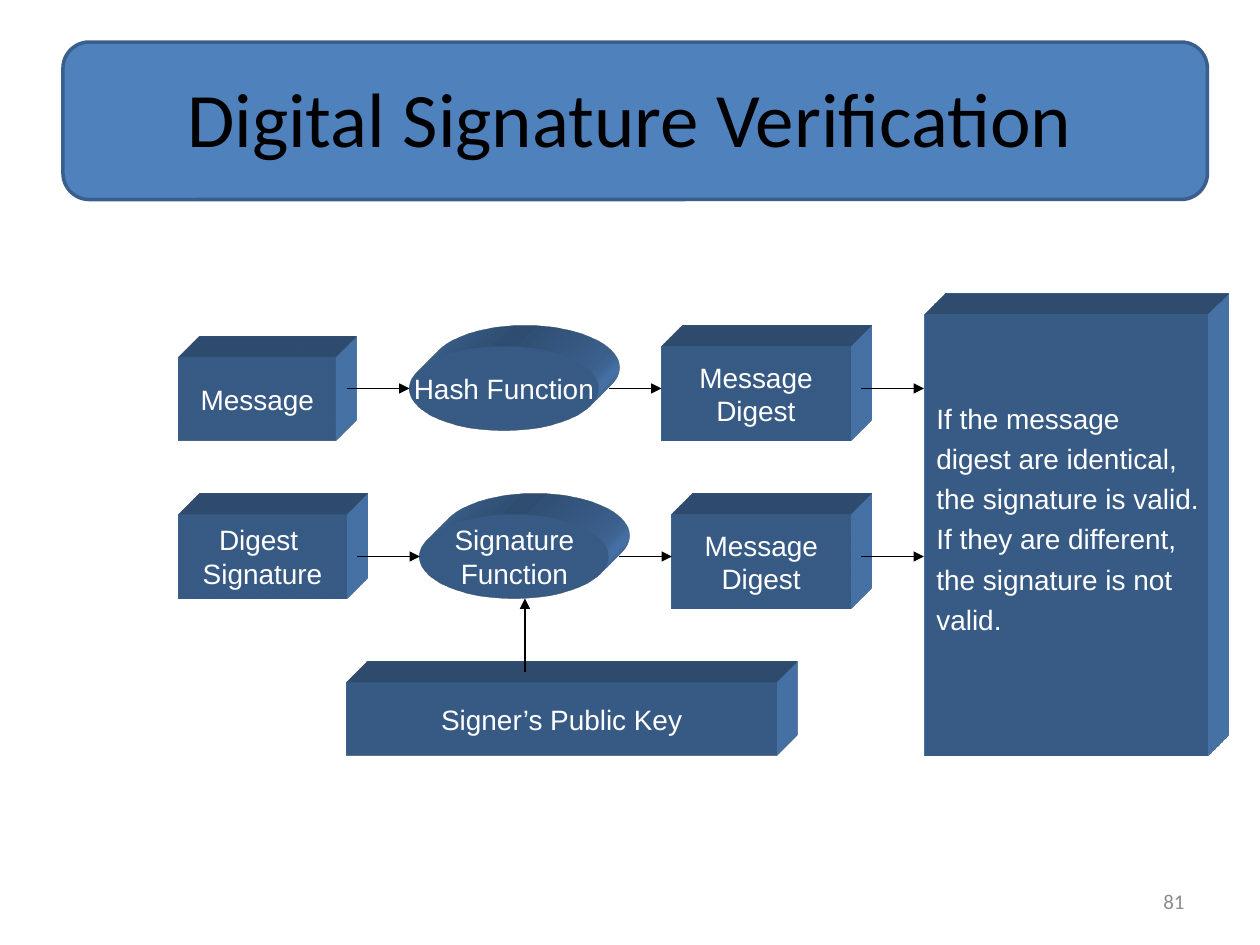
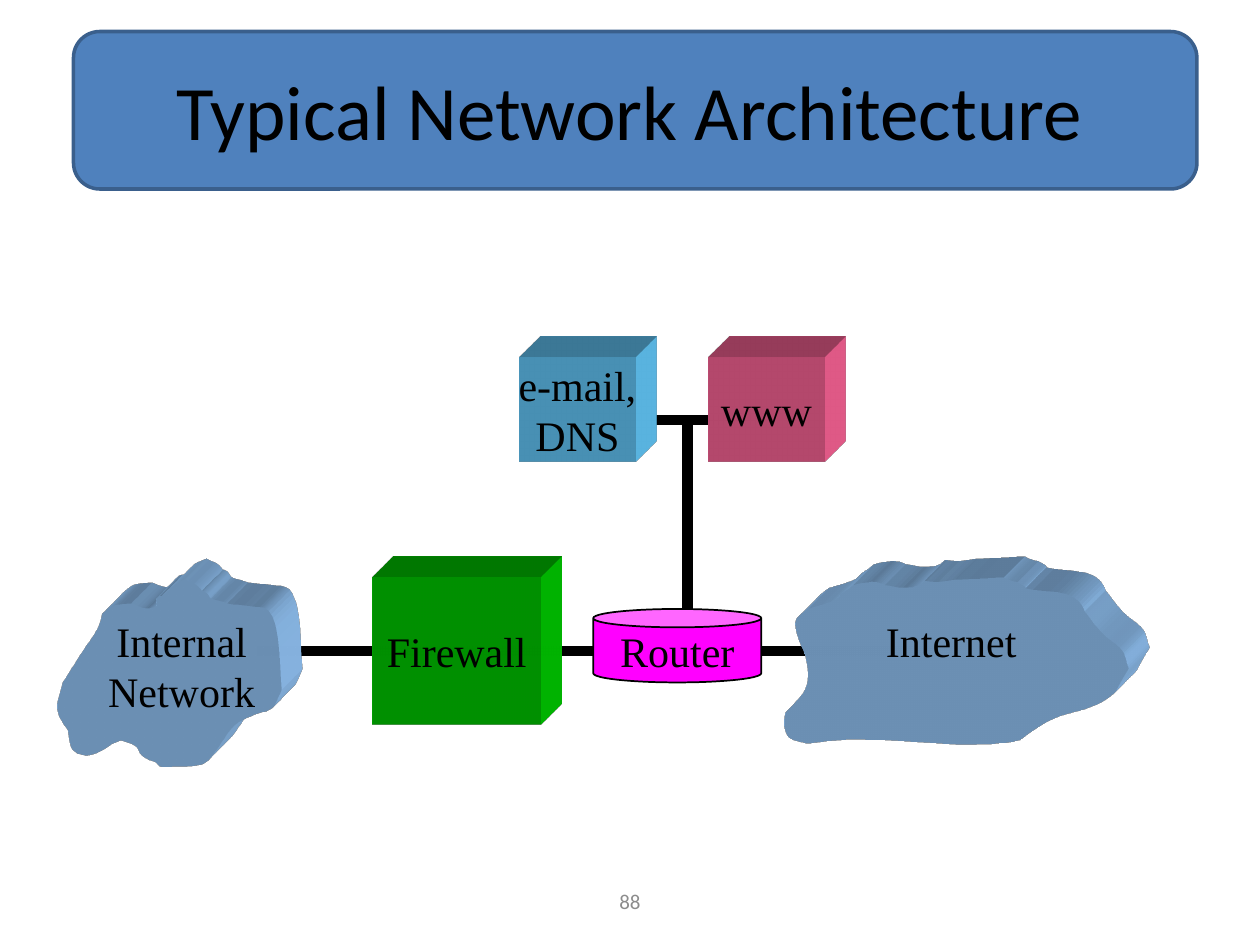
from lxml.etree import SubElement
from pptx import Presentation
from pptx.dml.color import RGBColor
from pptx.enum.shapes import MSO_CONNECTOR, MSO_SHAPE
from pptx.enum.text import MSO_ANCHOR, PP_ALIGN
from pptx.oxml import parse_xml
from pptx.oxml.ns import nsdecls, qn
from pptx.util import Inches, Pt

COLORS = {
    "blue": "4F81BD", "blue_edge": "3A5F8C", "black": "000000", "white": "FFFFFF",
    "grey": "8C8C8C", "green": "00CC00", "cloud": "99CCFF", "magenta": "FF00FF",
    "sky": "66CCFF", "pink": "FF6699",
}
GRID_PER_INCH = 12
CLOUD_PER_INCH = 100
DEPTH = 430200

INTERNET_CURVES = [
    (99, 10, 91, 8, 81, 6), (72, 2, 65, 4, 56, 6), (53, 8, 50, 11, 46, 13),
    (45, 14, 44, 16, 43, 17), (38, 20, 26, 23, 20, 25), (16, 28, 11, 31, 10, 35),
    (9, 43, 15, 55, 18, 63), (19, 68, 20, 73, 20, 77), (20, 91, 12, 97, 2, 107),
    (1, 113, 0, 120, 4, 126), (7, 130, 20, 132, 20, 132), (59, 125, 103, 131, 142, 133),
    (157, 132, 174, 133, 188, 129), (197, 122, 208, 114, 220, 110),
    (237, 105, 254, 102, 264, 90), (267, 83, 271, 78, 274, 72), (272, 68, 272, 64, 270, 60),
    (266, 53, 261, 52, 255, 46), (248, 40, 245, 34, 239, 27), (234, 11, 217, 12, 198, 10),
    (184, 7, 200, 11, 186, 4), (182, 3, 178, 2, 175, 0), (162, 1, 150, 1, 138, 2),
    (133, 2, 123, 4, 123, 4), (110, 3, 114, 1, 108, 6),
]
INTERNAL_CURVES = [
    (74, 25, 68, 22, 61, 19), (50, 20, 46, 19, 38, 27), (36, 40, 29, 47, 23, 56),
    (17, 65, 12, 73, 7, 81), (5, 91, 0, 97, 4, 108), (6, 112, 11, 119, 11, 119),
    (13, 135, 14, 137, 26, 139), (35, 137, 37, 136, 44, 131), (47, 129, 53, 127, 53, 127),
    (56, 128, 60, 129, 64, 131), (66, 132, 67, 136, 68, 137), (72, 142, 75, 142, 80, 144),
    (82, 145, 83, 148, 85, 148), (96, 148, 107, 148, 117, 146),
    (126, 143, 135, 121, 144, 114), (152, 109, 159, 106, 168, 104),
    (170, 103, 172, 102, 174, 100), (176, 97, 180, 87, 180, 87), (178, 71, 180, 38, 170, 25),
    (166, 21, 160, 22, 155, 21), (149, 20, 143, 20, 137, 19), (133, 17, 128, 17, 124, 15),
    (123, 14, 122, 12, 121, 11), (120, 10, 118, 9, 117, 9), (113, 3, 109, 3, 104, 0),
    (102, 1, 96, 3, 94, 5), (91, 7, 89, 11, 85, 13), (84, 13, 82, 13, 81, 15),
    (80, 16, 81, 19, 81, 21),
]


def color(name):
    """Return the named colour."""
    return RGBColor.from_string(COLORS[name])


def grid(value):
    """Turn grid units into a slide length."""
    return Inches(value / GRID_PER_INCH)


def inside(origin, box):
    """Turn a grid box relative to an origin into slide lengths."""
    left, top, width, height = box
    return [grid(value) for value in (origin[0] + left, origin[1] + top, width, height)]


def write(shape, text, size, font, ink, align=PP_ALIGN.CENTER, anchor=MSO_ANCHOR.MIDDLE,
          spacing=None, wrap=False):
    """Put formatted text in a shape."""
    frame = shape.text_frame
    frame.text = text
    frame.word_wrap = wrap
    frame.vertical_anchor = anchor
    for para in frame.paragraphs:
        para.alignment = align
        para.line_spacing = spacing
        for span in para.runs:
            span.font.size = Pt(size)
            span.font.name = font
            span.font.color.rgb = color(ink)


def paint(shape, fill, edge=None, width=1):
    """Give a shape a flat fill and an optional outline."""
    shape.shadow.inherit = False
    shape.fill.solid()
    shape.fill.fore_color.rgb = color(fill)
    if edge:
        shape.line.color.rgb = color(edge)
        shape.line.width = Pt(width)
    else:
        shape.line.fill.background()


def extrude(shape, fill):
    """Paint a shape and give it depth towards the upper right."""
    paint(shape, fill)
    properties = shape.element.spPr
    properties.append(parse_xml(
        f'<a:scene3d {nsdecls("a")}><a:camera prst="legacyObliqueTopRight"/>'
        '<a:lightRig rig="legacyFlat3" dir="b"/></a:scene3d>'))
    properties.append(parse_xml(
        f'<a:sp3d {nsdecls("a")} extrusionH="{DEPTH}" prstMaterial="legacyMatte">'
        '<a:bevelT w="13500" h="13500" prst="angle"/><a:bevelB w="13500" h="13500" prst="angle"/>'
        f'<a:extrusionClr><a:srgbClr val="{COLORS[fill]}"/></a:extrusionClr></a:sp3d>'))


def add_block(page, origin, box, kind, fill, text, size, font, ink, **layout):
    """Add a labelled block with depth."""
    block = page.shapes.add_shape(kind, *inside(origin, box))
    extrude(block, fill)
    write(block, text, size, font, ink, **layout)
    return block


def add_line(page, origin, start, end, width, arrow=False):
    """Add a black line, with an arrowhead at its end if asked."""
    ends = [grid(origin[axis] + point[axis]) for point in (start, end) for axis in (0, 1)]
    line = page.shapes.add_connector(MSO_CONNECTOR.STRAIGHT, *ends)
    line.line.color.rgb = color("black")
    line.line.width = Pt(width)
    if arrow:
        SubElement(line.element.spPr.find(qn("a:ln")), qn("a:tailEnd"), type="triangle")
    SubElement(line.element.spPr, qn("a:effectLst"))


def add_cloud(page, origin, corner, curves):
    """Add a curved cloud with depth at a corner relative to the origin."""
    unit = Inches(1) // CLOUD_PER_INCH
    anchors = [curve[4:] for curve in curves]
    builder = page.shapes.build_freeform(*anchors[-1], scale=unit)
    builder.add_line_segments(anchors, close=True)
    cloud = builder.convert_to_shape(*(grid(a + b) for a, b in zip(origin, corner)))
    left, top = map(min, zip(*anchors))
    for segment, curve in zip(list(cloud.element.iter(qn("a:lnTo"))), curves):
        segment.tag = qn("a:cubicBezTo")
        segment.remove(segment[0])
        for x, y in zip(curve[::2], curve[1::2]):
            SubElement(segment, qn("a:pt"), x=str(x - left), y=str(y - top))
    extrude(cloud, "cloud")


def add_label(page, origin, box, text, align):
    """Add a text label over a cloud."""
    label = page.shapes.add_textbox(*inside(origin, box))
    write(label, text, 24, "Times New Roman", "black", align, MSO_ANCHOR.TOP)


def add_page(deck, title, banner_box, number, number_box, number_align, spacing=None):
    """Add a page with its title on a banner and its number."""
    page = deck.slides.add_slide(deck.slide_layouts[5])
    heading = page.shapes.title
    heading.left, heading.top, heading.width, heading.height = inside((0, 0), (6, 3.6, 108, 15))
    write(heading, title, 44, "Calibri", "black", spacing=spacing, wrap=True)
    banner = page.shapes.add_shape(MSO_SHAPE.ROUNDED_RECTANGLE, *inside((0, 0), banner_box))
    paint(banner, "blue", "blue_edge", 2)
    heading.element.addprevious(banner.element)
    footer = page.shapes.add_textbox(*inside((0, 0), number_box))
    write(footer, number, 12, "Calibri", "grey", number_align, wrap=True)
    return page


def draw_verification(page, origin):
    """Draw the signature check as two rows that meet in the verdict."""
    style = (16, "Arial", "white")
    rect, oval = MSO_SHAPE.RECTANGLE, MSO_SHAPE.OVAL
    steps = [
        (rect, "Message", (0, 4, 15, 8)),
        (oval, "Hash Function", (22, 3, 18, 8)),
        (rect, "Message\nDigest", (46, 3, 18, 9)),
        (rect, "Digest \nSignature", (0, 19, 16, 8)),
        (oval, "Signature\nFunction", (23, 19, 18, 8)),
        (rect, "Message\nDigest", (47, 19, 17, 9)),
        (rect, "Signer’s Public Key", (16, 35, 41, 7)),
    ]
    for kind, text, box in steps:
        add_block(page, origin, box, kind, "blue", text, *style)
    verdict = add_block(
        page, origin, (71, 0, 27, 42), rect, "blue",
        "If the message\ndigest are identical,\nthe signature is valid.\n"
        "If they are different,\nthe signature is not\nvalid.",
        *style, align=PP_ALIGN.LEFT, spacing=1.2)
    verdict.text_frame.margin_bottom = Inches(0.37)
    rows = {
        7: [(16, 22), (41, 46), (65, 71)],
        23: [(17, 23), (42, 47), (65, 71)],
    }
    for y, arrows in rows.items():
        for start, end in arrows:
            add_line(page, origin, (start, y), (end, y), 0.75, arrow=True)
    add_line(page, origin, (33, 34), (33, 27), 0.75, arrow=True)


def draw_network(page, origin):
    """Draw the internal network, firewall, router, servers and internet."""
    style = (24, "Times New Roman", "black")
    cables = [((62, 6), (72, 6)), ((65.5, 25), (65.5, 6)), ((24.5, 28), (91.5, 28))]
    for start, end in cables:
        add_line(page, origin, start, end, 6)
    add_cloud(page, origin, (74.6, 21), INTERNET_CURVES)
    add_cloud(page, origin, (5.2, 21.2), INTERNAL_CURVES)
    router = page.shapes.add_shape(MSO_SHAPE.CAN, *inside(origin, (56.5, 24, 16, 7)))
    paint(router, "magenta", "black")
    write(router, "Router", *style)
    blocks = [
        ("Firewall", "green", (35.5, 21, 16, 14)),
        ("e-mail,\nDNS", "sky", (49.5, 0, 11, 10)),
        ("www", "pink", (67.5, 0, 11, 10)),
    ]
    for text, fill, box in blocks:
        add_block(page, origin, box, MSO_SHAPE.RECTANGLE, fill, text, *style)
    add_label(page, origin, (9.1, 24, 16.4, 10.8), "Internal\nNetwork", PP_ALIGN.CENTER)
    add_label(page, origin, (83.2, 24, 14.9, 6), "Internet", PP_ALIGN.LEFT)


def main():
    """Build and save the deck."""
    deck = Presentation()
    deck.slide_width, deck.slide_height = Inches(10), Inches(7.5)
    verification = add_page(deck, "Digital Signature Verification", (6, 4, 109, 15),
                            "81", (86, 83.4, 28, 4.8), PP_ALIGN.RIGHT)
    draw_verification(verification, (17, 30))
    network = add_page(deck, "Typical Network Architecture", (7, 3, 107, 15),
                       "88", (41, 83.4, 38, 4.8), PP_ALIGN.CENTER, spacing=0.85)
    draw_network(network, (0, 34))
    deck.save("out.pptx")


if __name__ == "__main__":
    main()
